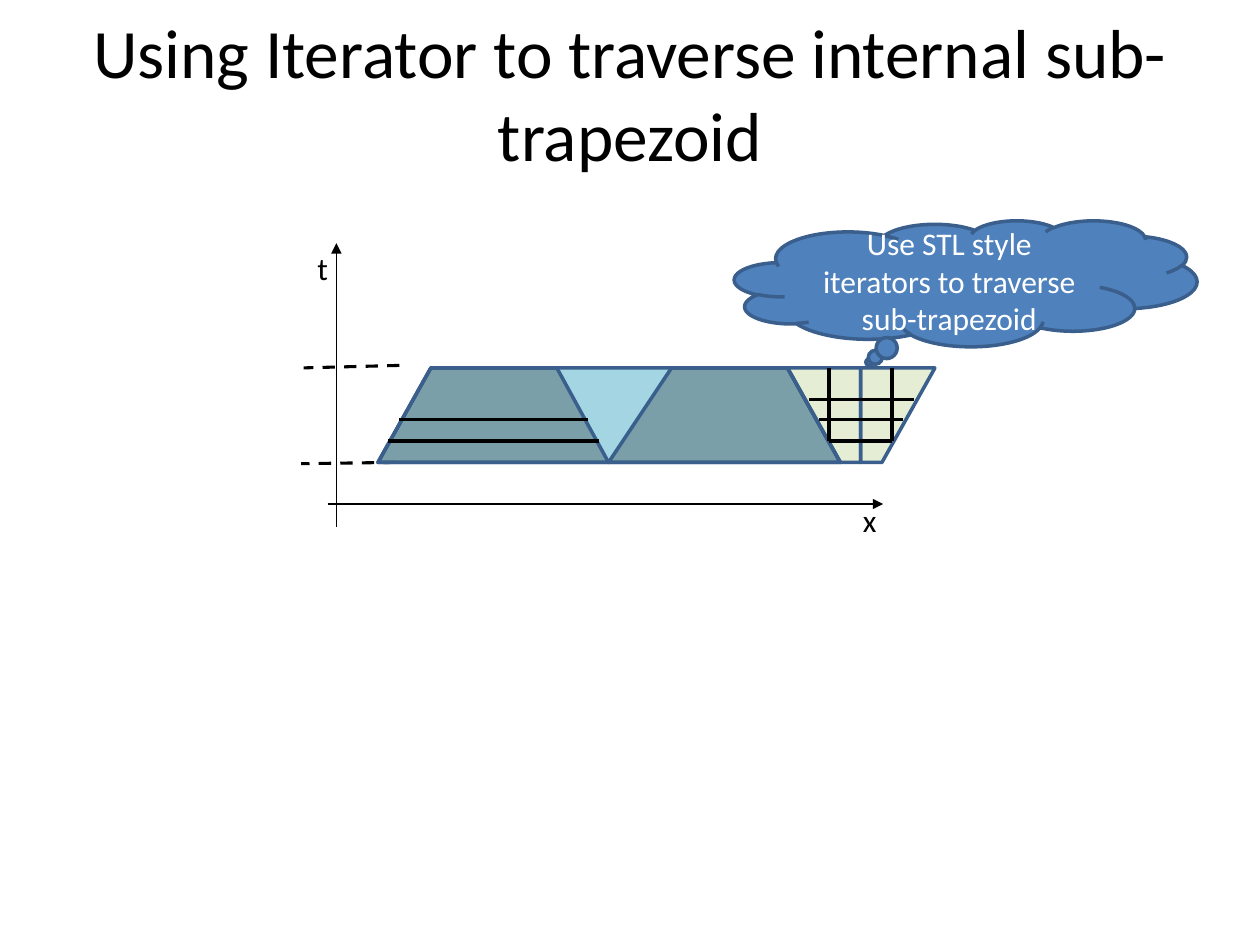
from lxml import etree
from pptx import Presentation
from pptx.dml.color import RGBColor
from pptx.enum.dml import MSO_LINE
from pptx.enum.shapes import MSO_CONNECTOR, MSO_SHAPE
from pptx.enum.text import MSO_ANCHOR, MSO_AUTO_SIZE, PP_ALIGN
from pptx.oxml.ns import qn
from pptx.util import Inches, Pt

STRAIGHT, CLOUD = MSO_CONNECTOR.STRAIGHT, MSO_SHAPE.CLOUD_CALLOUT
DASH, MIDDLE, TOP = MSO_LINE.DASH, MSO_ANCHOR.MIDDLE, MSO_ANCHOR.TOP
CENTER, LEFT = PP_ALIGN.CENTER, PP_ALIGN.LEFT

THEME = {
    "font": "Calibri", "title": 39.6, "body": 18,
    "ink": "000000", "white": "FFFFFF", "cloud": "4F81BD",
    "edge": "3A5F8C", "teal": "4BACC6", "green": "9BBB59",
    "thin": 0.75, "dashed": 1.75, "thick": 2,
}

# Content
TITLE = "Using Iterator to traverse internal sub-trapezoid"
CALLOUT = "Use STL style iterators to traverse sub-trapezoid"
AXIS_LABELS = [("t", (2.42, 1.93, 0.3, 0.4)), ("x", (6.75, 3.93, 0.35, 0.4))]
AXES = [(2.6, 4, 7.01, 4), (2.67, 4.18, 2.67, 1.93)]
TIME_MARKS = [(3.14, 3.67, 2.39, 3.68), (3.17, 2.9, 2.41, 2.92)]

# Trapezoids between two time levels: top left, top right, bottom right,
# bottom left, fill, opacity in percent
UPPER, LOWER = 2.92, 3.67
TRAPEZOIDS = [
    (3.42, 6.25, 6.67, 3, "teal", 50),
    (3.42, 4.42, 4.83, 3, "ink", 25),
    (5.33, 6.25, 6.67, 4.83, "ink", 25),
    (6.83, 7.42, 7, 6.83, "green", 25),
    (6.25, 6.83, 6.83, 6.67, "green", 25),
]
ROWS = [(6.58, 7.08, 3.5), (6.5, 7.17, 3.33), (6.42, 7.25, 3.17),
        (3.08, 4.75, 3.5), (3.17, 4.67, 3.33)]
COLUMNS = [6.58, 7.08]
COLUMN_END = 3.5


def color(name):
    return RGBColor.from_string(THEME[name])


def set_line(line, name, width):
    line.color.rgb = color(name)
    line.width = Pt(THEME[width])


def add_line(shapes, ends, width, dash=None, arrow=False):
    sp = shapes.add_connector(STRAIGHT, *map(Inches, ends))
    set_line(sp.line, "ink", width)
    if dash:
        sp.line.dash_style = dash
    if arrow:
        ln = sp.line._get_or_add_ln()
        etree.SubElement(ln, qn("a:tailEnd"), type="triangle")
    etree.SubElement(sp._element.spPr, qn("a:effectLst"))


def add_trapezoid(shapes, top_left, top_right, bottom_right, bottom_left, fill, opacity):
    corners = [(top_left, UPPER), (top_right, UPPER),
               (bottom_right, LOWER), (bottom_left, LOWER)]
    points = [(Inches(x), Inches(y)) for x, y in corners]
    builder = shapes.build_freeform(*points[0])
    builder.add_line_segments(points[1:], close=True)
    sp = builder.convert_to_shape()
    sp.shadow.inherit = False
    sp.fill.solid()
    sp.fill.fore_color.rgb = color(fill)
    clr = sp._element.spPr.find(qn("a:solidFill"))[0]
    etree.SubElement(clr, qn("a:alpha"), val=str(opacity * 1000))
    set_line(sp.line, "edge", "thick")


def set_text(sp, text, size="body", ink="ink", align=CENTER, anchor=MIDDLE, wrap=True):
    tf = sp.text_frame
    frame = {"word_wrap": wrap, "vertical_anchor": anchor,
             "auto_size": MSO_AUTO_SIZE.NONE}
    for name, value in frame.items():
        setattr(tf, name, value)
    p = tf.paragraphs[0]
    p.alignment = align
    r = p.add_run()
    r.text = text
    for name, value in {"name": THEME["font"], "size": Pt(THEME[size])}.items():
        setattr(r.font, name, value)
    r.font.color.rgb = color(ink)


def main():
    prs = Presentation()
    prs.slide_width, prs.slide_height = Inches(10), Inches(7.5)
    s = prs.slides.add_slide(prs.slide_layouts[5])
    shapes = s.shapes

    # Title
    title = shapes.title
    title.left, title.top, title.width, title.height = map(Inches, (0.5, 0.3, 9, 0.87))
    set_text(title, TITLE, size="title")

    # Axes and time levels
    for ends in AXES:
        add_line(shapes, ends, "thin", arrow=True)
    for text, box in AXIS_LABELS:
        set_text(shapes.add_textbox(*map(Inches, box)), text,
                 align=LEFT, anchor=TOP, wrap=False)
    for ends in TIME_MARKS:
        add_line(shapes, ends, "dashed", dash=DASH)

    # Trapezoids and the grid lines inside them
    for trapezoid in TRAPEZOIDS:
        add_trapezoid(shapes, *trapezoid)
    for left, right, y in ROWS:
        add_line(shapes, (left, y, right, y), "thick")
    for x in COLUMNS:
        add_line(shapes, (x, UPPER, x, COLUMN_END), "thick")

    # Callout
    cloud = shapes.add_shape(CLOUD, *map(Inches, (5.83, 1.75, 3.67, 1)))
    cloud.shadow.inherit = False
    cloud.fill.solid()
    cloud.fill.fore_color.rgb = color("cloud")
    set_line(cloud.line, "edge", "thick")
    set_text(cloud, CALLOUT, ink="white")

    prs.save("out.pptx")


if __name__ == "__main__":
    main()
